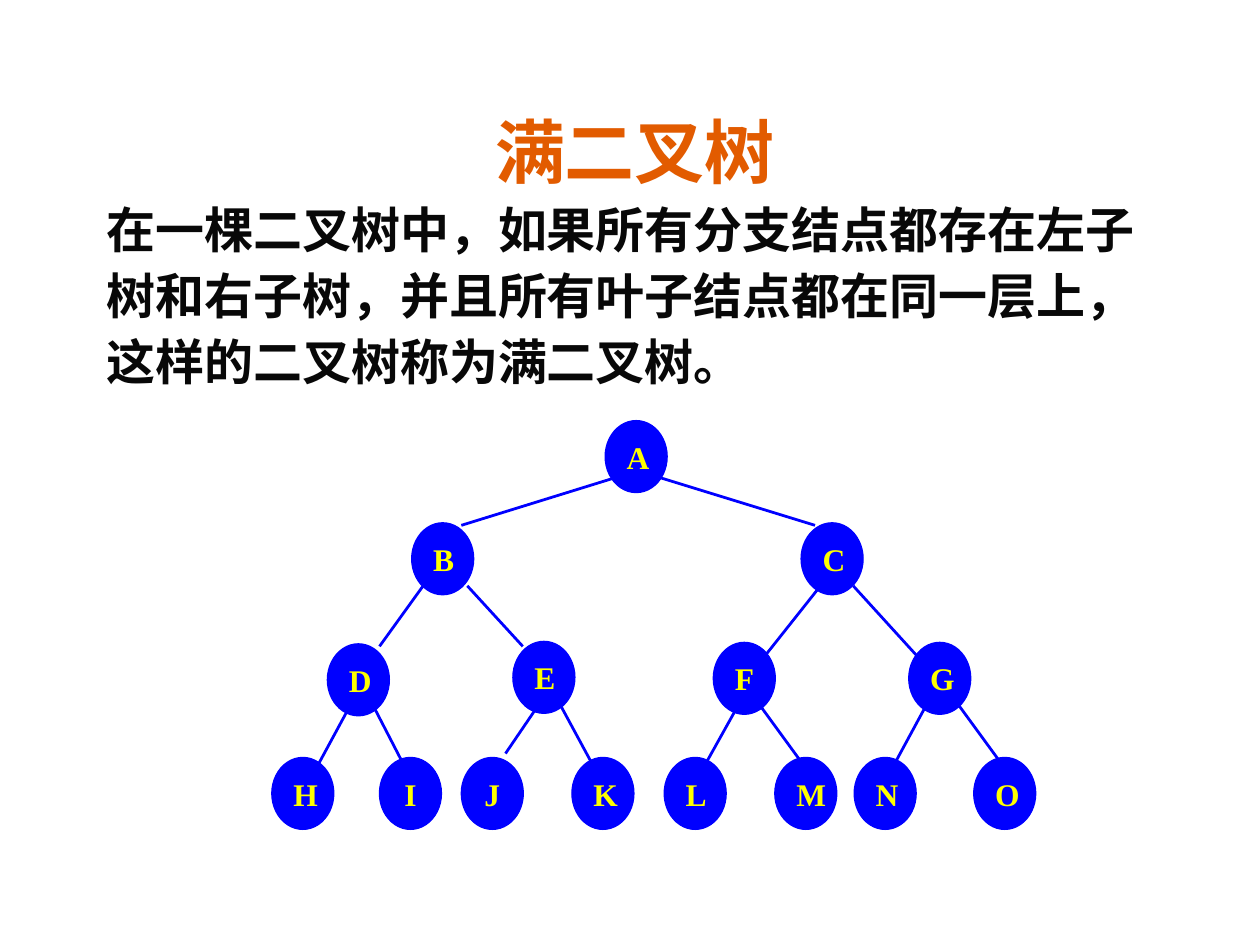
from pptx import Presentation
from pptx.dml.color import RGBColor
from pptx.enum.shapes import MSO_CONNECTOR, MSO_SHAPE
from pptx.enum.text import MSO_ANCHOR, PP_ALIGN
from pptx.oxml.ns import qn
from pptx.util import Cm, Pt
from lxml.etree import SubElement

COLORS = {"title": "E25B00", "body": "080808", "node": "0000FF", "label": "FFFF00"}

TITLE_FONT = {"name": "Comic Neue", "size": Pt(40), "bold": True}
BODY_FONT = {"name": "Noto Sans CJK SC", "size": Pt(28), "bold": True}
LABEL_FONT = {"name": "Times New Roman", "size": Pt(18), "bold": True}

TITLE_FORMAT = {"alignment": PP_ALIGN.CENTER}
BODY_FORMAT = {"line_spacing": 0.6, "space_before": Pt(17.5)}
LABEL_FORMAT = {"alignment": PP_ALIGN.CENTER}

DEFINITION = [
    "在一棵二叉树中，如果所有分支结点都存在左子",
    "树和右子树，并且所有叶子结点都在同一层上，",
    "这样的二叉树称为满二叉树。",
]

NODE_WIDTH, NODE_HEIGHT = 1.25, 1.45
BRANCH_NODES = {
    "A": (12.2, 8.48),
    "B": (8.3, 10.54), "C": (16.15, 10.54),
    "D": (6.6, 12.98), "E": (10.34, 12.93),
    "F": (14.38, 12.95), "G": (18.32, 12.95),
}
LEAF_TOP = 15.27
LEAF_LEFTS = {"H": 5.48, "I": 7.65, "J": 9.3, "K": 11.53,
              "L": 13.39, "M": 15.62, "N": 17.22, "O": 19.63}

EDGE_ROWS = [
    (9.63, 10.59, [(12.4, 9.3), (13.31, 16.43)]),
    (11.81, 13.03, [(8.53, 7.65), (9.42, 10.54)]),
    (11.81, 13.26, [(16.54, 15.39), (17.2, 18.52)]),
    (14.22, 15.44, [(7.06, 6.4), (7.52, 8.15), (11.3, 11.96), (14.88, 14.2),
                    (15.32, 16.21), (18.67, 18.01), (19.33, 20.22)]),
    (14.22, 15.19, [(10.85, 10.19)]),
]


def apply_format(target, values):
    for name, value in values.items():
        setattr(target, name, value)


def write_paragraph(paragraph, text, paragraph_format, font_format, color):
    apply_format(paragraph, paragraph_format)
    run = paragraph.add_run()
    run.text = text
    apply_format(run.font, font_format)
    run.font.color.rgb = RGBColor.from_string(COLORS[color])


def add_text(slide, left, top, width, height, lines, anchor, paragraph_format, font_format, color):
    box = slide.shapes.add_textbox(Cm(left), Cm(top), Cm(width), Cm(height))
    frame = box.text_frame
    apply_format(frame, {"word_wrap": True, "vertical_anchor": anchor})
    for index, line in enumerate(lines):
        paragraph = frame.add_paragraph() if index else frame.paragraphs[0]
        write_paragraph(paragraph, line, paragraph_format, font_format, color)
    frame.paragraphs[0].space_before = Pt(0)


def add_node(slide, label, left, top):
    node = slide.shapes.add_shape(
        MSO_SHAPE.OVAL, Cm(left), Cm(top), Cm(NODE_WIDTH), Cm(NODE_HEIGHT))
    node.shadow.inherit = False
    node.fill.solid()
    node.fill.fore_color.rgb = RGBColor.from_string(COLORS["node"])
    node.line.color.rgb = RGBColor.from_string(COLORS["node"])
    node.line.width = Pt(0.75)
    frame = node.text_frame
    apply_format(frame, {"word_wrap": True, "vertical_anchor": MSO_ANCHOR.MIDDLE})
    write_paragraph(frame.paragraphs[0], label, LABEL_FORMAT, LABEL_FONT, "label")


def add_edge(slide, start_x, start_y, end_x, end_y):
    edge = slide.shapes.add_connector(
        MSO_CONNECTOR.STRAIGHT, Cm(start_x), Cm(start_y), Cm(end_x), Cm(end_y))
    edge.line.color.rgb = RGBColor.from_string(COLORS["node"])
    edge.line.width = Pt(1.59)
    SubElement(edge._element.spPr, qn("a:effectLst"))


def main():
    presentation = Presentation()
    presentation.slide_width, presentation.slide_height = Cm(25.4), Cm(19.05)
    slide = presentation.slides.add_slide(presentation.slide_layouts[6])

    add_text(slide, 1.9, 1.9, 21.8, 2.1, ["满二叉树"], MSO_ANCHOR.BOTTOM,
             TITLE_FORMAT, TITLE_FONT, "title")
    add_text(slide, 1.9, 4.32, 21.8, 14.17, DEFINITION, MSO_ANCHOR.TOP,
             BODY_FORMAT, BODY_FONT, "body")

    for label, (left, top) in BRANCH_NODES.items():
        add_node(slide, label, left, top)
    for label, left in LEAF_LEFTS.items():
        add_node(slide, label, left, LEAF_TOP)
    for start_y, end_y, spans in EDGE_ROWS:
        for start_x, end_x in spans:
            add_edge(slide, start_x, start_y, end_x, end_y)

    presentation.save("out.pptx")


if __name__ == "__main__":
    main()
